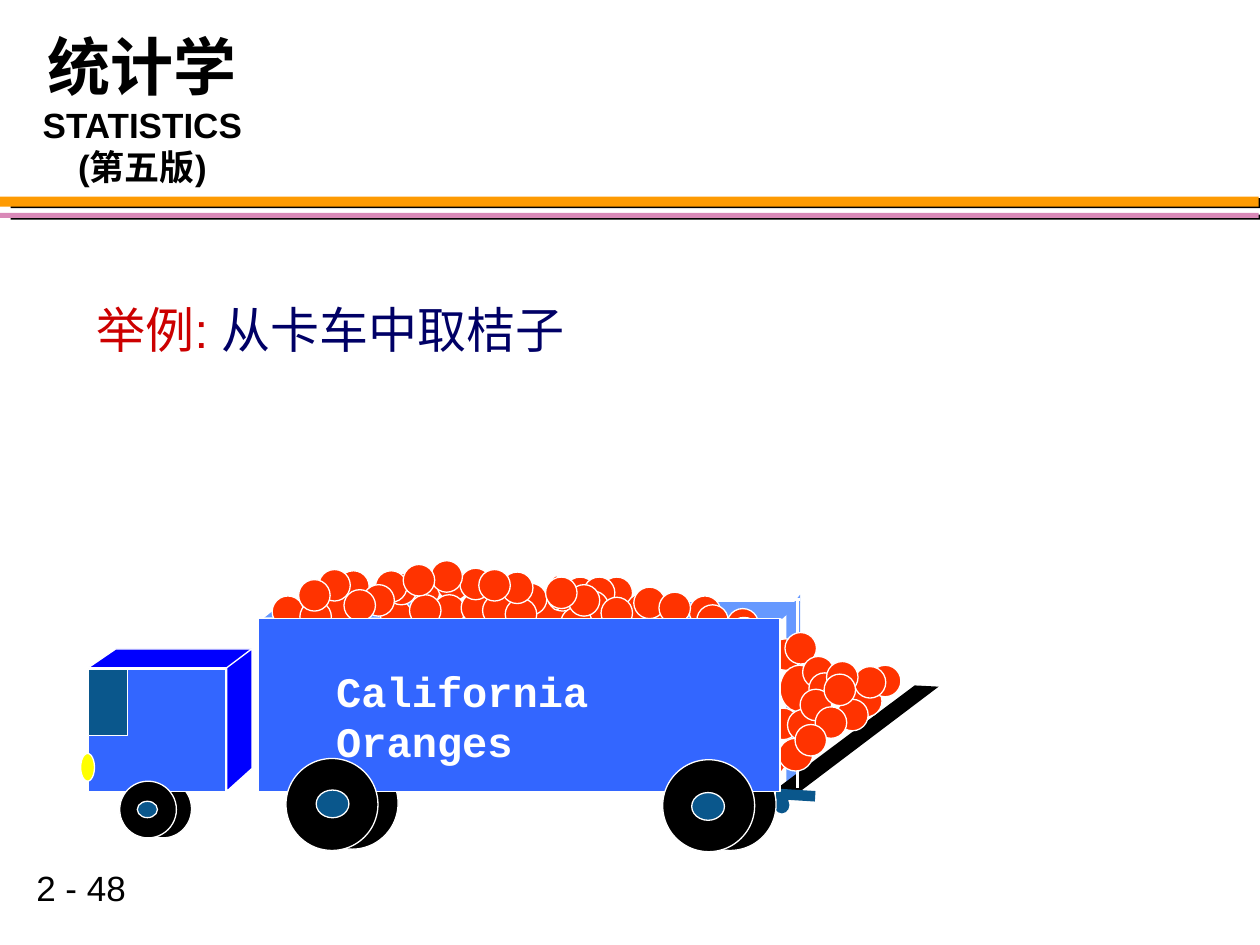
from lxml.etree import SubElement
from pptx import Presentation
from pptx.dml.color import RGBColor
from pptx.enum.shapes import MSO_CONNECTOR, MSO_SHAPE
from pptx.enum.text import PP_ALIGN
from pptx.oxml.ns import qn
from pptx.util import Inches, Pt

BLACK, WHITE, RED = "000000", "FFFFFF", "FF3300"
BLUE, DARK, PALE, TEAL = "3366FF", "0000FF", "6699FF", "0A578C"

deck = Presentation()
deck.slide_width, deck.slide_height = Inches(10), Inches(7.5)
slide = deck.slides.add_slide(deck.slide_layouts[6])
shapes = slide.shapes


def paint(part, fill, line=None, width=0.75):
    """Fill and outline a shape, or stroke a connector when fill is None."""
    if fill:
        part.shadow.inherit = False
        part.fill.solid()
        part.fill.fore_color.rgb = RGBColor.from_string(fill)
    else:
        SubElement(part._element.spPr, qn("a:effectLst"))
    if line:
        part.line.color.rgb = RGBColor.from_string(line)
        part.line.width = Pt(width)
    else:
        part.line.fill.background()


def write(box, runs, size, font="Arial", bold=False, wrap=True):
    """Add a text box; each run is (text, colour)."""
    frame = shapes.add_textbox(*map(Inches, box)).text_frame
    frame.word_wrap = wrap
    par = frame.paragraphs[0]
    par.font.size, par.font.name, par.font.bold = Pt(size), font, bold
    for text, color in runs:
        run = par.add_run()
        run.text = text
        run.font.color.rgb = RGBColor.from_string(color)
    return frame


# Header bars with a hard shadow
for top, high, color in [(1.56, 0.08, "FE9B03"), (1.69, 0.04, "D989B8")]:
    bar = shapes.add_shape(MSO_SHAPE.RECTANGLE, 0, Inches(top), Inches(9.99), Inches(high))
    paint(bar, color)
    effect = bar._element.spPr.find(qn("a:effectLst"))
    shade = SubElement(effect, qn("a:outerShdw"), dist=str(Pt(6.1)), dir="540000",
                       algn="ctr", rotWithShape="0")
    SubElement(shade, qn("a:srgbClr"), val=BLACK)

# Page number and book title
write((0.19, 6.83, 1.87, 0.43), [("2 - 48", BLACK)], 20, wrap=False)
book = write((0.17, 0.17, 1.92, 1.37), [("统计学", BLACK)], 36, bold=True)
for text in ("STATISTICS", "(第五版)"):
    par = book.add_paragraph()
    par.text = text
    par.font.size, par.font.name, par.font.bold = Pt(20), "Arial", True
    par.font.color.rgb = RGBColor.from_string(BLACK)
for par in book.paragraphs:
    par.alignment = PP_ALIGN.CENTER

# Tail post, ramp, bed rim and the sides of the cab
panels = [
    ([(6.24, 4.86), (6.35, 4.72), (6.35, 6.26), (6.24, 6.25)], PALE, None),
    ([(7.26, 5.44), (7.45, 5.45), (6.22, 6.38), (6.15, 6.27)], BLACK, None),
    ([(2.07, 4.9), (2.25, 4.78), (6.35, 4.78), (6.21, 4.91)], PALE, None),
    ([(0.7, 5.3), (1.81, 5.3), (2, 5.15), (0.92, 5.15)], DARK, WHITE),
    ([(1.8, 5.3), (1.8, 6.28), (2, 6.1), (2, 5.15)], DARK, WHITE),
]
for points, fill, line in panels:
    spots = [(Inches(x), Inches(y)) for x, y in points]
    path = shapes.build_freeform(*spots[0])
    path.add_line_segments(spots[1:], close=True)
    paint(path.convert_to_shape(), fill, line)

# Hitch and bed edges
edges = [
    (6.16, 6.3, 6.47, 6.32, TEAL, 6),
    (2.25, 4.76, 6.35, 4.76, WHITE, 1.5),
    (6.33, 4.75, 6.33, 6.25, WHITE, 1.5),
    (2.07, 4.91, 2.26, 4.76, WHITE, 1.5),
]
for *ends, color, width in edges:
    edge = shapes.add_connector(MSO_CONNECTOR.STRAIGHT, *map(Inches, ends))
    paint(edge, None, color, width)
knob = shapes.add_shape(MSO_SHAPE.OVAL, *map(Inches, (6.15, 6.33, 0.11, 0.12)))
paint(knob, TEAL, TEAL)

# Oranges from back to front: left, top and, where it differs, size
heap = [
    (4.01, 4.7), (6.09, 5.62), (6.11, 5.07), (6.19, 5.28, 0.31, 0.37), (6.23, 5.02),
    (6.37, 5.21), (5.99, 5.91), (6.18, 5.86, 0.27, 0.26), (6.25, 5.63), (6.42, 5.34),
    (6.35, 5.47), (6.75, 5.44), (6.9, 5.28), (6.64, 5.55), (6.47, 5.61), (6.31, 5.75),
    (4.48, 4.58), (4.24, 4.73), (4.77, 4.58), (5.47, 4.73), (5.11, 4.74), (5.77, 4.83),
    (3.24, 4.57), (3.02, 4.76), (3.47, 4.52), (3.44, 4.72), (3.66, 4.7), (3.95, 4.58),
    (4.09, 4.63), (4.63, 4.58), (4.97, 4.71), (4.58, 4.69), (5.78, 4.9), (5.53, 4.8),
    (6.78, 5.29), (4.34, 4.6), (3.83, 4.72), (4.01, 4.75), (5.03, 4.66), (5.23, 4.7),
    (4.45, 4.82), (4.51, 4.64), (4.77, 4.74), (6.56, 5.25), (3.06, 4.55), (3.25, 4.72),
    (3.98, 4.54), (3.65, 4.51), (3.42, 4.45), (2.98, 4.53), (2.68, 4.53), (2.57, 4.7),
    (2.88, 4.64), (2.16, 4.73), (2.38, 4.77), (2.73, 4.68), (2.53, 4.52), (3.2, 4.48),
    (2.37, 4.6), (4.36, 4.57, 0.11, 0.27), (3.8, 4.52), (4.33, 4.58), (6.54, 5.35),
]
for x, y, *size in heap:
    wide, high = size or (0.25, 0.25)
    ball = shapes.add_shape(MSO_SHAPE.OVAL, *map(Inches, (x, y, wide, high)))
    paint(ball, RED, WHITE)

# Far wheels, cab, bed, then near wheels
oval, rect = MSO_SHAPE.OVAL, MSO_SHAPE.RECTANGLE
truck = [
    (oval, 1.07, 6.19, 0.45, 0.46, BLACK),
    (oval, 1.21, 6.35, 0.16, 0.14, TEAL),
    (oval, 2.43, 6.01, 0.73, 0.73, BLACK),
    (oval, 2.66, 6.27, 0.26, 0.22, BLACK),
    (rect, 0.7, 5.31, 1.09, 0.97, BLUE),
    (rect, 0.7, 5.31, 0.31, 0.53, TEAL),
    (oval, 0.64, 5.98, 0.11, 0.22, "FFFF00"),
    (oval, 5.43, 6.02, 0.73, 0.73, BLACK),
    (oval, 5.67, 6.28, 0.26, 0.22, BLACK),
    (rect, 2.05, 4.91, 4.14, 1.37, BLUE),
    (oval, 5.26, 6.03, 0.73, 0.73, BLACK),
    (oval, 5.49, 6.29, 0.26, 0.22, TEAL),
    (oval, 2.27, 6.02, 0.73, 0.73, BLACK),
    (oval, 2.51, 6.27, 0.26, 0.22, TEAL),
    (oval, 0.95, 6.2, 0.45, 0.45, BLACK),
    (oval, 1.09, 6.36, 0.16, 0.13, TEAL),
]
for kind, *box, color in truck:
    paint(shapes.add_shape(kind, *map(Inches, box)), color, WHITE)

# Truck lettering and example line
write((2.57, 5.23, 3.26, 0.5), [("California Oranges", WHITE)], 24, "Courier New", bold=True)
write((0.67, 2.33, 4.72, 0.57), [("举例: ", "CC0000"), ("从卡车中取桔子", "000066")], 28)

deck.save("out.pptx")
